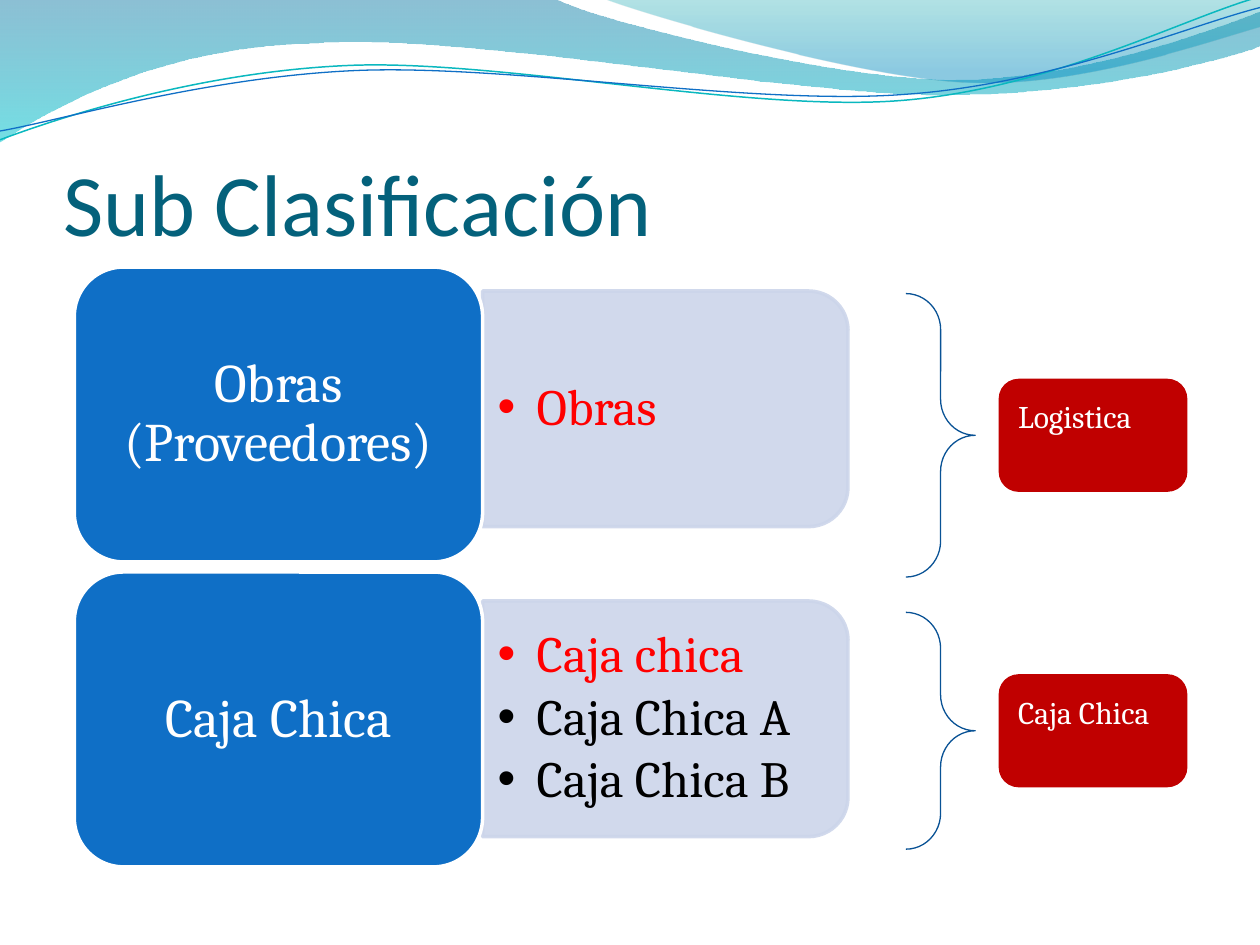
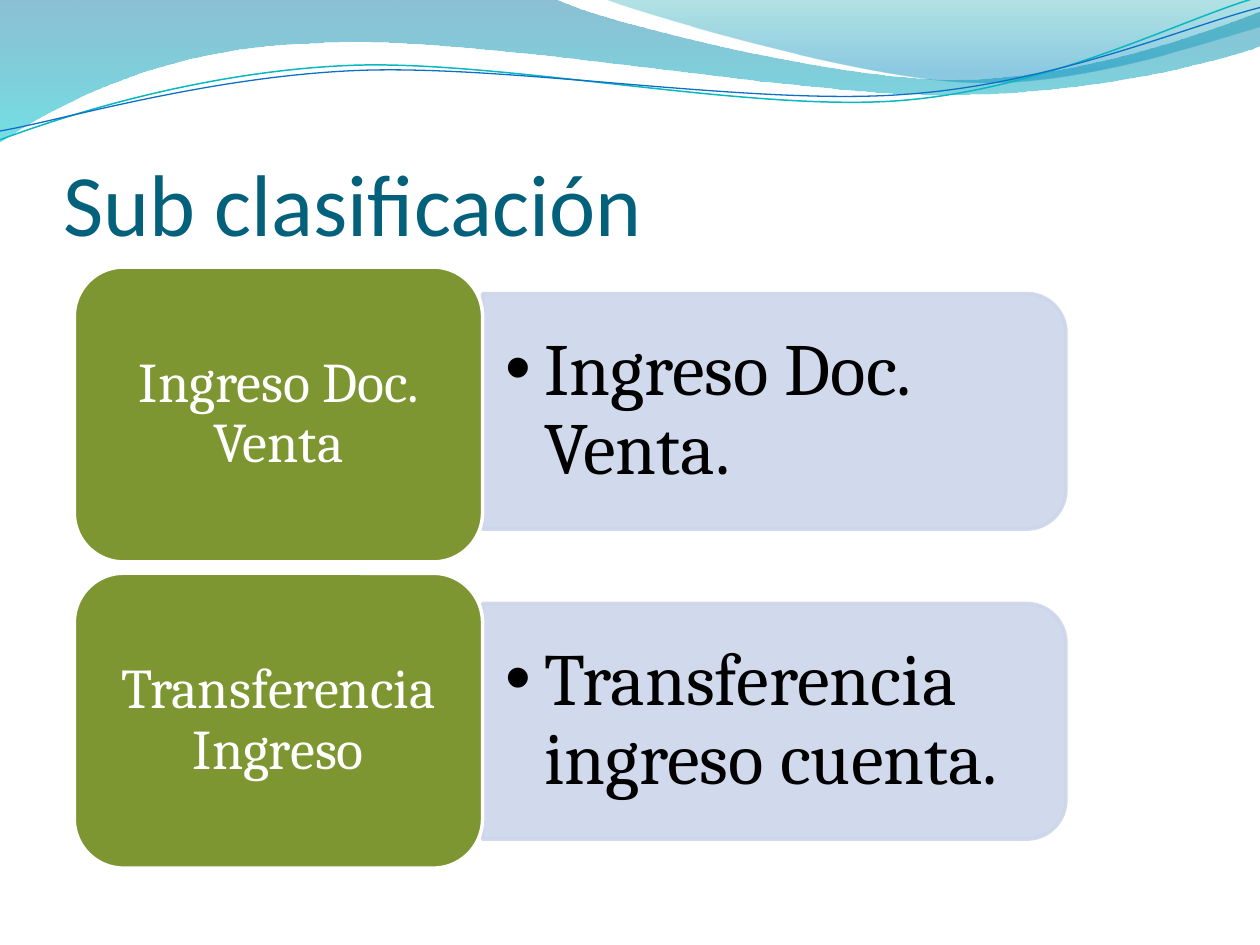
import pptx
import pptx.util
import pptx.dml.color
import pptx.enum.shapes
import pptx.enum.text
import pptx.oxml
import pptx.oxml.ns

Inches = pptx.util.Inches
Pt = pptx.util.Pt
qn = pptx.oxml.ns.qn
KIND = pptx.enum.shapes.MSO_SHAPE
ANCHOR = pptx.enum.text.MSO_ANCHOR
ALIGN = pptx.enum.text.PP_ALIGN

HUES = {
    "title": "04617B", "blue": "0F6FC6", "green": "7E9632", "pale": "CCD5EA",
    "white": "FFFFFF", "black": "000000", "red": "FF0000", "brick": "C00000",
    "brace": "095295", "teal": "0AB8BF", "deep": "0074A1", "aqua": "00C6CF",
    "sea": "00A1A9", "sky": "008BBF",
}

BANDS = [
    ([[(0, 0)], [(4.4, -0.01)],
      [(4.76, 0.17), (6.64, 0.63), (7.58, 0.63)],
      [(8.53, 0.63), (9.58, 0.26), (10, 0.09)], [(10.01, 0.36)],
      [(9.83, 0.44), (8.7, 0.76), (7.46, 0.75)],
      [(6.22, 0.75), (3.82, 0.28), (2.57, 0.34)],
      [(1.29, 0.36), (0.46, 0.83), (-0.01, 1.13)]],
     [(0, "deep", 45), (1, "aqua", 55)]),
    ([[(4.79, -0.01)],
      [(5.09, 0.11), (6.82, 0.62), (7.69, 0.65)],
      [(8.56, 0.69), (9.61, 0.32), (10, 0.21)], [(10, 0)]],
     [(0, "sea", 30), (0.8, "sky", 45)]),
]
CURVES = [
    ([[(0, 1.11)],
      [(0.48, 0.93), (1.58, 0.57), (2.77, 0.52)],
      [(3.95, 0.47), (5.93, 0.89), (7.13, 0.8)],
      [(8.33, 0.71), (9.38, 0.15), (9.98, -0.02)]], "teal", 0.85),
    ([[(0, 1.04)],
      [(0.47, 0.96), (1.64, 0.61), (2.83, 0.56)],
      [(4.03, 0.51), (5.97, 0.84), (7.17, 0.75)],
      [(8.36, 0.67), (9.41, 0.21), (10, 0.06)]], "blue", 0.75),
]


def tint(name):
    return pptx.dml.color.RGBColor.from_string(HUES[name])


def make(tag, **marks):
    attrs = " ".join(f'{key}="{value}"' for key, value in marks.items())
    return pptx.oxml.parse_xml(f'<a:{tag} {pptx.oxml.ns.nsdecls("a")} {attrs}/>')


def paint(shape, fill, line, width):
    shape.shadow.inherit = False
    if fill:
        shape.fill.solid()
        shape.fill.fore_color.rgb = tint(fill)
    else:
        shape.fill.background()
    shape.line.color.rgb = tint(line)
    shape.line.width = Pt(width)


def fade(shape, shares):
    for node, share in zip(shape.element.spPr.iter(qn("a:srgbClr")), shares):
        node.append(make("alpha", val=share * 1000))


def style(para, size, hue, font="Cambria"):
    for run in para.runs:
        run.font.size = Pt(size)
        run.font.name = font
        run.font.color.rgb = tint(hue)


def frame(shape, anchor, sides, top, base):
    text = shape.text_frame
    text.word_wrap = True
    text.auto_size = pptx.enum.text.MSO_AUTO_SIZE.NONE
    text.vertical_anchor = anchor
    text.margin_left = text.margin_right = Inches(sides)
    text.margin_top, text.margin_bottom = Inches(top), Inches(base)
    return text


def block(slide, kind, left, top, width, height):
    return slide.shapes.add_shape(
        kind, Inches(left), Inches(top), Inches(width), Inches(height))


def trace(slide, route, close):
    spots = [(Inches(x), Inches(y)) for step in route for x, y in step]
    pen = slide.shapes.build_freeform(*spots[0], scale=1.0)
    pen.add_line_segments(spots[1:], close=close)
    shape = pen.convert_to_shape()
    lines = iter(list(shape.element.iter(qn("a:lnTo"))))
    for step in route[1:]:
        group = [next(lines) for spot in step]
        if len(group) == 3:
            curve = make("cubicBezTo")
            group[0].addprevious(curve)
            for line in group:
                curve.append(line[0])
                line.getparent().remove(line)
    return shape


def waves(slide):
    shapes = []
    for route, stops in BANDS:
        band = trace(slide, route, True)
        band.shadow.inherit = False
        band.line.fill.background()
        band.fill.gradient()
        band.fill.gradient_angle = 270
        for stop, (place, hue, share) in zip(band.fill.gradient_stops, stops):
            stop.position = place
            stop.color.rgb = tint(hue)
        fade(band, [share for place, hue, share in stops])
        shapes.append(band)
    for route, hue, width in CURVES:
        curve = trace(slide, route, False)
        paint(curve, None, hue, width)
        shapes.append(curve)
    tree = slide.slide_layout.shapes.element
    for i, shape in enumerate(shapes):
        shape.element.nvSpPr.cNvPr.set("id", str(20 + i))
        tree.insert(2 + i, shape.element)


def start(deck, title):
    slide = deck.slides.add_slide(deck.slide_layouts[5])
    head = slide.shapes.title
    head.left, head.top = Inches(0.5), Inches(0.77)
    head.width, head.height = Inches(9), Inches(1.25)
    text = frame(head, ANCHOR.BOTTOM, 0, 0.05, 0)
    text.text = title
    text.paragraphs[0].alignment = ALIGN.LEFT
    style(text.paragraphs[0], 50, "title", "Calibri")
    return slide


def panel(slide, left, top, width, items, size, inset):
    height = 1.87
    shift = (width - height) / 2
    back = block(slide, KIND.ROUND_2_SAME_RECTANGLE,
                 left + shift, top - shift, height, width)
    back.rotation = 90
    paint(back, "pale", "pale", 2)
    fade(back, [90, 90])
    box = slide.shapes.add_textbox(Inches(left), Inches(top + 0.09),
                                   Inches(width - 0.09), Inches(height - 0.18))
    text = frame(box, ANCHOR.MIDDLE, inset, inset / 2, inset / 2)
    text.text = "\n".join(item for item, hue in items)
    for para, (item, hue) in zip(text.paragraphs, items):
        para.line_spacing = 0.9
        para.space_after = Pt(round(size * 0.15, 1))
        style(para, size, hue)
        props = para._p.get_or_add_pPr()
        props.set("marL", str(Inches(0.31)))
        props.set("indent", str(-Inches(0.31)))
        props.append(make("buFont", typeface="Arial"))
        props.append(make("buChar", char="•"))


def label(slide, left, top, words, hue, size):
    box = block(slide, KIND.ROUNDED_RECTANGLE, left, top, 3.24, 2.34)
    paint(box, hue, "white", 2)
    text = frame(box, ANCHOR.MIDDLE, 0.13, 0.06, 0.06)
    text.text = words
    text.paragraphs[0].alignment = ALIGN.CENTER
    text.paragraphs[0].line_spacing = 0.9
    style(text.paragraphs[0], size, "white")


def chart(slide, left, top, rows, width, hue, big, small, inset, drop, pitch):
    for i, (words, items) in enumerate(rows):
        panel(slide, left + 3.24, top + drop + 2.46 * i, width, items, small, inset)
        label(slide, left, top + pitch * i, words, hue, big)


def result(slide, left, top, height, words):
    brace = block(slide, KIND.RIGHT_BRACE, left, top, 0.55, height)
    brace.adjustments[0] = 0.52
    paint(brace, None, "brace", 0.75)
    tag = block(slide, KIND.ROUNDED_RECTANGLE,
                left + 0.75, top + (height - 0.87) / 2, 1.47, 0.87)
    paint(tag, "brick", "brick", 2)
    text = frame(tag, ANCHOR.TOP, 0.1, 0.09, 0.05)
    text.text = words
    text.paragraphs[0].alignment = ALIGN.LEFT
    style(text.paragraphs[0], 18, "white")


def main():
    deck = pptx.Presentation()
    deck.slide_width, deck.slide_height = Inches(10), Inches(7.5)

    slide = start(deck, "Sub Clasificación")
    waves(slide)
    rows = [
        ("Obras (Proveedores)", [("Obras", "red")]),
        ("Caja Chica", [("Caja chica", "red"), ("Caja Chica A", "black"),
                        ("Caja Chica B", "black")]),
    ]
    chart(slide, 0.59, 2.12, rows, 2.9, "blue", 31, 29, 0.12, 0.19, 2.42)
    result(slide, 7.19, 2.33, 2.25, "Logistica")
    result(slide, 7.19, 4.86, 1.88, "Caja Chica")

    slide = start(deck, "Sub clasificación")
    rows = [
        ("Ingreso Doc. Venta", [("Ingreso Doc. Venta.", "black")]),
        ("Transferencia Ingreso", [("Transferencia ingreso cuenta.", "black")]),
    ]
    chart(slide, 0.59, 2.12, rows, 4.63, "green", 32, 42, 0.18, 0.21, 2.43)

    deck.save("out.pptx")


if __name__ == "__main__":
    main()
